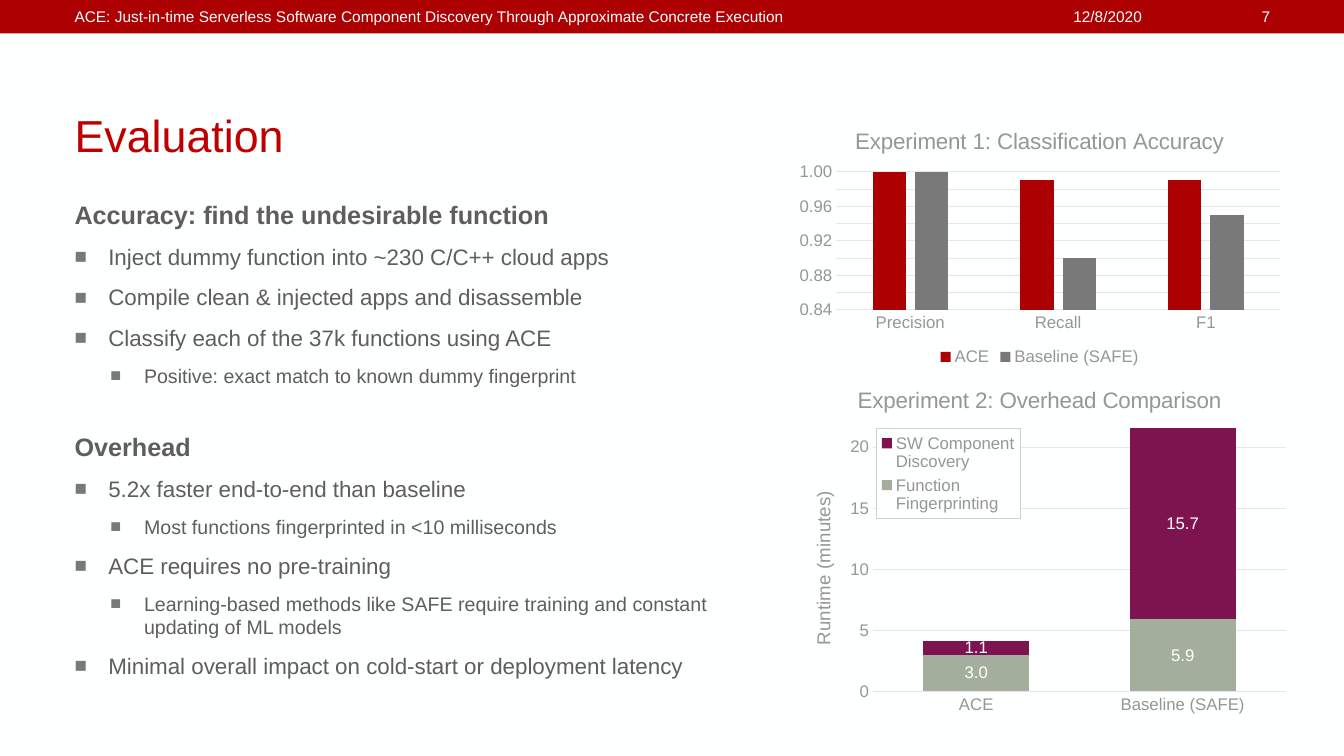
from dataclasses import dataclass
from lxml import etree
from pptx import Presentation
from pptx.chart.data import CategoryChartData
from pptx.dml.color import RGBColor
from pptx.enum import chart as ch, shapes, text
from pptx.oxml import parse_xml
from pptx.oxml.ns import nsdecls, qn
from pptx.util import Cm, Pt

HEAD = [
    ("12/8/2020", 21.13, 7.9, "r"),
    ("ACE: Just-in-time Serverless Software Component Discovery "
     "Through Approximate Concrete Execution", 1.63, 19.2, "l"),
    ("7", 29.34, 2.92, "r"),
]
TITLE = "Evaluation"
# (level, wording): 0 heading, 1 bullet, 2 nested bullet
BODY = [
    (0, "Accuracy: find the undesirable function"),
    (1, "Inject dummy function into ~230 C/C++ cloud apps"),
    (1, "Compile clean & injected apps and disassemble"),
    (1, "Classify each of the 37k functions using ACE"),
    (2, "Positive: exact match to known dummy fingerprint"),
    (0, "Overhead"),
    (1, "5.2x faster end-to-end than baseline"),
    (2, "Most functions fingerprinted in <10 milliseconds"),
    (1, "ACE requires no pre-training"),
    (2, "Learning-based methods like SAFE require training and constant "
        "updating of ML models"),
    (1, "Minimal overall impact on cold-start or deployment latency"),
]
SCORE = {
    "title": "Experiment 1: Classification Accuracy",
    "kind": ch.XL_CHART_TYPE.COLUMN_CLUSTERED,
    "at": (19.89, 2.84, 12.62, 6.48),
    "plot": (0.094, 0.23, 0.886, 0.537),
    "cats": ["Precision", "Recall", "F1"],
    "rows": [("ACE", [1, 0.99, 0.99], "red"),
             ("Baseline (SAFE)", [1, 0.9, 0.95], "gray")],
    "scale": (0.84, 1, 0.02), "form": "0.00", "gap": 219, "lap": -27,
}
TIME = {
    "title": "Experiment 2: Overhead Comparison",
    "kind": ch.XL_CHART_TYPE.COLUMN_STACKED,
    "at": (19.76, 9.32, 12.88, 8.84),
    "plot": (0.174, 0.151, 0.808, 0.766),
    "cats": ["ACE", "Baseline (SAFE)"],
    "rows": [("Function Fingerprinting", [3, 5.9], "sage"),
             ("SW Component Discovery", [1.1, 15.7], "plum")],
    "scale": (0, 22, 5), "form": "General", "gap": 95, "lap": 100,
    "axis": "Runtime (minutes)", "key": (0.18, 0.168, 0.282, 0.256),
    "marks": "#,##0.0",
}


@dataclass
class Theme:
    face = "Arial"
    white = RGBColor.from_string("FEFFFF")
    red = RGBColor.from_string("AD0002")
    title = RGBColor.from_string("C00000")
    ink = RGBColor.from_string("5E5E5E")
    gray = RGBColor.from_string("797979")
    soft = RGBColor.from_string("969696")
    rule = RGBColor.from_string("E7E7E7")
    sage = RGBColor.from_string("A4AE9C")
    plum = RGBColor.from_string("7E144F")
    head, big, label, axis, name = 11, 32, 12, 13.3, 16
    body = (18, 16, 14)


T = Theme()


def style(font, size, color, bold=False):
    font.name, font.size, font.bold = T.face, Pt(size), bold
    font.color.rgb = color


def box(slide, at, anchor):
    frame = slide.shapes.add_textbox(*map(Cm, at)).text_frame
    frame.word_wrap = True
    frame.vertical_anchor = anchor
    return frame


def bullet(par, level):
    props = par._p.get_or_add_pPr()
    props.set("marL", str(Cm(0.85 + 0.9 * (level - 1))))
    props.set("indent", str(-Cm(0.85)))
    color = etree.SubElement(props, qn("a:buClr"))
    etree.SubElement(color, qn("a:srgbClr"), val=str(T.gray))
    etree.SubElement(props, qn("a:buSzPct"), val="92000")
    etree.SubElement(props, qn("a:buFont"), typeface=T.face)
    etree.SubElement(props, qn("a:buChar"), char="■")


def fill_body(frame):
    for i, (level, words) in enumerate(BODY):
        par = frame.paragraphs[0] if i == 0 else frame.add_paragraph()
        if level:
            bullet(par, level)
        size = T.body[level]
        par.text = words
        par.space_after = Pt(6)
        if i:
            par.space_before = Pt(0.23 * size if level else 25.3)
        style(par.font, size, T.ink, level == 0)


def place(part, spots, index, inner=False):
    """Fix a chart part at fractions of the chart's size."""
    for old in part.findall(qn("c:layout")):
        part.remove(old)
    layout = etree.Element(qn("c:layout"))
    manual = etree.SubElement(layout, qn("c:manualLayout"))
    if inner:
        etree.SubElement(manual, qn("c:layoutTarget"), val="inner")
    for tag in ("xMode", "yMode"):
        etree.SubElement(manual, qn("c:" + tag), val="edge")
    for tag, spot in zip("xywh", spots):
        etree.SubElement(manual, qn("c:" + tag), val=str(spot))
    part.insert(index, layout)


def caption(owner, words, size):
    frame = owner.text_frame
    frame.text = words
    style(frame.paragraphs[0].font, size, T.soft)


def add_key(chart, spots):
    chart.has_legend = True
    key = chart.legend
    key.position = (ch.XL_LEGEND_POSITION.CORNER if spots
                    else ch.XL_LEGEND_POSITION.BOTTOM)
    key.include_in_layout = bool(spots)
    style(key.font, T.label, T.soft)
    if spots:
        node = key._element
        place(node, spots, 1)
        node.find(qn("c:overlay")).addnext(parse_xml(
            f'<c:spPr {nsdecls("c", "a")}>'
            f'<a:solidFill><a:srgbClr val="{T.white}"/></a:solidFill>'
            f'<a:ln w="9525"><a:solidFill><a:srgbClr val="D0D0D0"/>'
            f'</a:solidFill></a:ln></c:spPr>'))


def add_bars(slide, info):
    data = CategoryChartData()
    data.categories = info["cats"]
    for name, vals, _ in info["rows"]:
        data.add_series(name, vals)
    chart = slide.shapes.add_chart(
        info["kind"], *map(Cm, info["at"]), data).chart
    style(chart.font, 10, T.ink)
    chart.has_title = True
    caption(chart.chart_title, info["title"], T.name)
    chart.chart_title.include_in_layout = False

    cat, val = chart.category_axis, chart.value_axis
    for axis in (cat, val):
        axis.major_tick_mark = ch.XL_TICK_MARK.NONE
        axis.minor_tick_mark = ch.XL_TICK_MARK.NONE
        style(axis.tick_labels.font, T.label, T.soft)
    val.minimum_scale, val.maximum_scale, val.major_unit = info["scale"]
    val.tick_labels.number_format = info["form"]
    val.tick_labels.number_format_is_linked = False
    val.format.line.fill.background()
    val.has_major_gridlines = True
    for line in (cat.format.line, val.major_gridlines.format.line):
        line.color.rgb, line.width = T.rule, Pt(0.75)
    if "axis" in info:
        val.has_title = True
        caption(val.axis_title, info["axis"], T.axis)

    plot = chart.plots[0]
    plot.vary_by_categories = False
    plot.gap_width, plot.overlap = info["gap"], info["lap"]
    for bars, (_, _, color) in zip(plot.series, info["rows"]):
        bars.format.fill.solid()
        bars.format.fill.fore_color.rgb = getattr(T, color)
        if "marks" in info:
            marks = bars.data_labels
            marks.show_value = True
            marks.number_format = info["marks"]
            marks.number_format_is_linked = False
            style(marks.font, T.label, T.white)
    add_key(chart, info.get("key"))
    area = chart._chartSpace.find(".//" + qn("c:plotArea"))
    place(area, info["plot"], 0, inner=True)


def main():
    deck = Presentation()
    deck.slide_width, deck.slide_height = Cm(33.87), Cm(19.05)
    slide = deck.slides.add_slide(deck.slide_layouts[6])
    slide.background.fill.solid()
    slide.background.fill.fore_color.rgb = T.white

    band = slide.shapes.add_shape(
        shapes.MSO_SHAPE.RECTANGLE, 0, 0, deck.slide_width, Cm(0.84))
    band.shadow.inherit = False
    band.fill.solid()
    band.fill.fore_color.rgb = T.red
    band.line.fill.background()

    sides = {"l": text.PP_ALIGN.LEFT, "r": text.PP_ALIGN.RIGHT}
    for words, left, width, side in HEAD:
        par = box(slide, (left, 0.05, width, 1.02),
                  text.MSO_ANCHOR.TOP).paragraphs[0]
        par.text, par.alignment = words, sides[side]
        style(par.font, T.head, T.white)

    par = box(slide, (1.63, 1.96, 30.63, 2.24),
              text.MSO_ANCHOR.BOTTOM).paragraphs[0]
    par.text = TITLE
    style(par.font, T.big, T.title)
    fill_body(box(slide, (1.63, 4.9, 18.29, 12.34), text.MSO_ANCHOR.MIDDLE))
    for info in (SCORE, TIME):
        add_bars(slide, info)
    deck.save("out.pptx")


if __name__ == "__main__":
    main()
